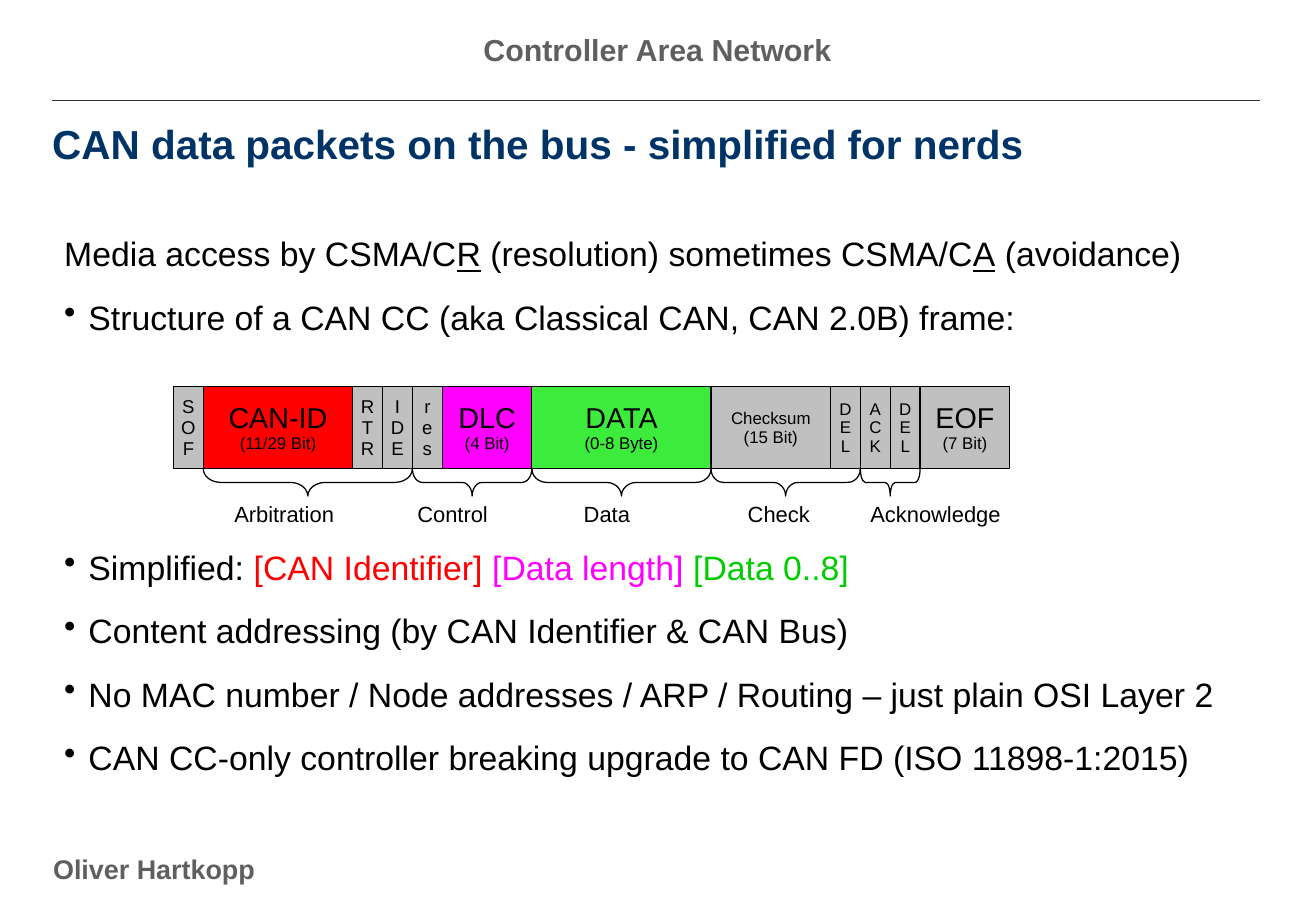
"""Builds the slide on the layout of a CAN data frame."""
import pptx
import pptx.util
import pptx.dml.color
import pptx.enum.shapes
import pptx.enum.text
import pptx.oxml.ns
import lxml.etree

Pt = pptx.util.Pt
Shape = pptx.enum.shapes.MSO_SHAPE
Align = pptx.enum.text.PP_ALIGN
Anchor = pptx.enum.text.MSO_ANCHOR
UNIT = 0.246


def rgb(code):
    return pptx.dml.color.RGBColor.from_string(code)


def grid(cells):
    return pptx.util.Inches(cells * UNIT)


def apply(item, form):
    for key, value in form.items():
        setattr(item, key, value)


class Page:
    """Holds the style and the current slide."""
    font = "Arial"
    ink = "000000"
    stroke = Pt(0.74)

    def __init__(self, slide):
        self.slide = slide

    def outline(self, item, color):
        item.line.color.rgb = rgb(color)
        item.line.width = self.stroke

    def fill_in(self, shape, paras, pads, form):
        frame = shape.text_frame
        sides = ("margin_left", "margin_top", "margin_right", "margin_bottom")
        apply(frame, dict(zip(sides, map(pptx.util.Inches, pads))))
        apply(frame, {"word_wrap": True, "vertical_anchor": Anchor.TOP, **form})
        for num, (runs, style, mark) in enumerate(paras):
            para = frame.add_paragraph() if num else frame.paragraphs[0]
            apply(para, {"alignment": Align.LEFT, **style})
            if mark:
                self.bullet(para)
            for text, size, color, look in runs:
                run = para.add_run()
                run.text = text
                apply(run.font, {"name": self.font, "size": Pt(size), **look})
                run.font.color.rgb = rgb(color)

    def bullet(self, para):
        props = para._p.get_or_add_pPr()
        inset = pptx.util.Inches(0.2)
        props.set("marL", str(inset))
        props.set("indent", str(-inset))
        tag = pptx.oxml.ns.qn("a:buChar")
        lxml.etree.SubElement(props, tag).set("char", "•")

    def text(self, box, paras, pads=(0, 0, 0, 0), **form):
        shape = self.slide.shapes.add_textbox(*map(grid, box))
        self.fill_in(shape, paras, pads, form)

    def field(self, box, fill, paras):
        shape = self.slide.shapes.add_shape(Shape.RECTANGLE, *map(grid, box))
        shape.shadow.inherit = False
        shape.fill.solid()
        shape.fill.fore_color.rgb = rgb(fill)
        self.outline(shape, self.ink)
        self.fill_in(shape, paras, (0.09, 0.06, 0.09, 0.05),
                     {"word_wrap": False, "vertical_anchor": Anchor.MIDDLE})

    def brace(self, left, top, span, depth):
        box = (left + (span - depth) / 2, top - (span - depth) / 2, depth, span)
        shape = self.slide.shapes.add_shape(Shape.LEFT_BRACE, *map(grid, box))
        shape.rotation = 270
        shape.shadow.inherit = False
        shape.fill.background()
        shape.adjustments[0] = span / depth / 12
        self.outline(shape, self.ink)

    def rule(self, left, right, top, color):
        kind = pptx.enum.shapes.MSO_CONNECTOR.STRAIGHT
        line = self.slide.shapes.add_connector(
            kind, *map(grid, (left, top, right, top)))
        self.outline(line, color)
        tag = pptx.oxml.ns.qn("a:effectLst")
        lxml.etree.SubElement(line._element.spPr, tag)


deck = pptx.Presentation()
deck.slide_width = pptx.util.Inches(10.84)
deck.slide_height = pptx.util.Inches(7.5)
page = Page(deck.slides.add_slide(deck.slide_layouts[6]))

BLACK, GREY, DIM = "000000", "C0C0C0", "5F5F5F"
RED, PINK, GREEN = "FF0000", "FF00FF", "00CC00"
BOLD = {"bold": True}
EDGE = (0.1, 0.05, 0.1, 0.05)

page.rule(1.75, 42.2, 3.37, "333333")
page.text((1.38, 28.74, 16.54, 1.1),
          [([("Oliver Hartkopp", 16, DIM, BOLD)],
            {"line_spacing": Pt(12)}, False)], EDGE)
page.text((0, 0.85, 44.03, 1.63),
          [([("Controller Area Network", 18, DIM, BOLD)],
            {"alignment": Align.CENTER}, False)], EDGE)
title = "CAN data packets on the bus - simplified for nerds"
page.text((1.75, 3.98, 40.49, 3.05),
          [([(title, 24, "003366", BOLD)], {}, False)])

UNDER = {"underline": True}
GAP = {"space_before": Pt(6.8), "space_after": Pt(6.8)}
WIDE = {**GAP, "space_before": Pt(117.3)}
points = [
    ([("Media access by CSMA/C", BLACK, {}), ("R", BLACK, UNDER),
      (" (resolution) sometimes CSMA/C", BLACK, {}), ("A", BLACK, UNDER),
      (" (avoidance)", BLACK, {})], GAP, False),
    ([("Structure of a CAN CC (aka Classical CAN, CAN 2.0B) frame:",
       BLACK, {})], GAP, True),
    ([("Simplified: ", BLACK, {}), ("[CAN Identifier] ", RED, {}),
      ("[Data length] ", PINK, {}), ("[Data 0..8]", GREEN, {})], WIDE, True),
    ([("Content addressing (by CAN Identifier & CAN Bus)", BLACK, {})],
     GAP, True),
    ([("No MAC number / Node addresses / ARP / Routing – just plain "
       "OSI Layer 2", BLACK, {})], GAP, True),
    ([("CAN CC-only controller breaking upgrade to CAN FD "
       "(ISO 11898-1:2015)", BLACK, {})], GAP, True),
]
page.text((2.15, 7.8, 40.49, 20.4),
          [([(words, 20, color, look) for words, color, look in runs],
            style, mark) for runs, style, mark in points])

LEFT, TOP, HIGH = 5.81, 12.93, 2.76
TIGHT = {"line_spacing": 0.93}
MID = {**TIGHT, "alignment": Align.CENTER}
fields = [
    ("SOF", 1, GREY, (11, 11, 11)),
    (("CAN-ID", "(11/29 Bit)"), 5, RED, (17, 10)),
    ("RTR", 1, GREY, (11, 11, 11)),
    ("IDE", 1, GREY, (11, 11, 11)),
    ("res", 1, GREY, (11, 11, 11)),
    (("DLC", "(4 Bit)"), 3, PINK, (17, 10)),
    (("DATA", "(0-8 Byte)"), 6, "3DEB3D", (17, 10)),
    (("Checksum", "(15 Bit)"), 4, GREY, (10, 10)),
    ("DEL", 1, GREY, (10, 10, 10)),
    ("ACK", 1, GREY, (10, 10, 10)),
    ("DEL", 1, GREY, (10, 10, 10)),
    (("EOF", "(7 Bit)"), 3, GREY, (17, 10)),
]
left = LEFT
for lines, wide, fill, sizes in fields:
    paras = [([(line, size, BLACK, {})], MID, False)
             for line, size in zip(lines, sizes)]
    page.field((left, TOP, wide, HIGH), fill, paras)
    left += wide

groups = [
    ("Arbitration", 7, 1.67, 4.35),
    ("Control", 4, 7.8, 3.29),
    ("Data", 6, 13.37, 2.44),
    ("Check", 5, 18.86, 3.01),
    ("Acknowledge", 2, 22.97, 5.45),
]
left = LEFT + 1
for name, span, start, wide in groups:
    page.brace(left, TOP + HIGH, span, 0.91)
    page.text((LEFT + start, 16.59, wide, 1.26),
              [([(name, 13, BLACK, {})], TIGHT, False)],
              (0.09, 0.06, 0.09, 0.05), word_wrap=False)
    left += span

deck.save("out.pptx")
